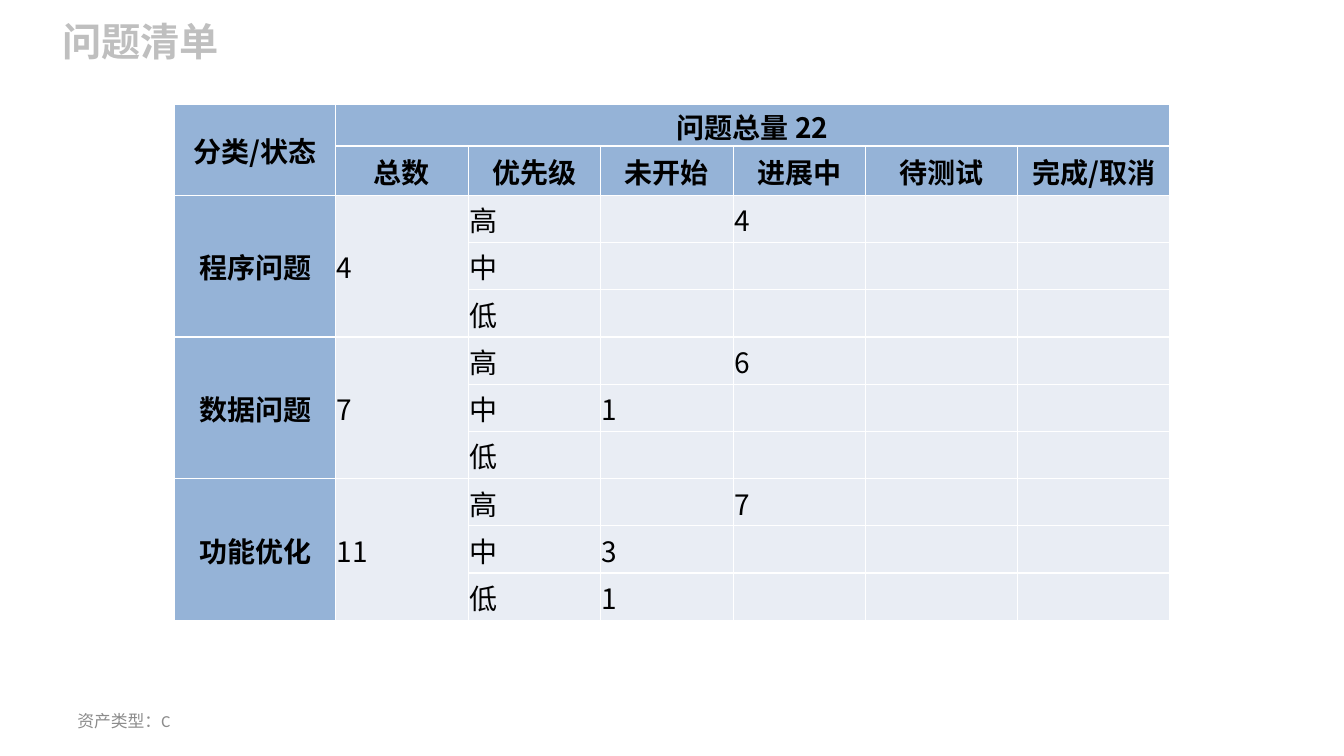
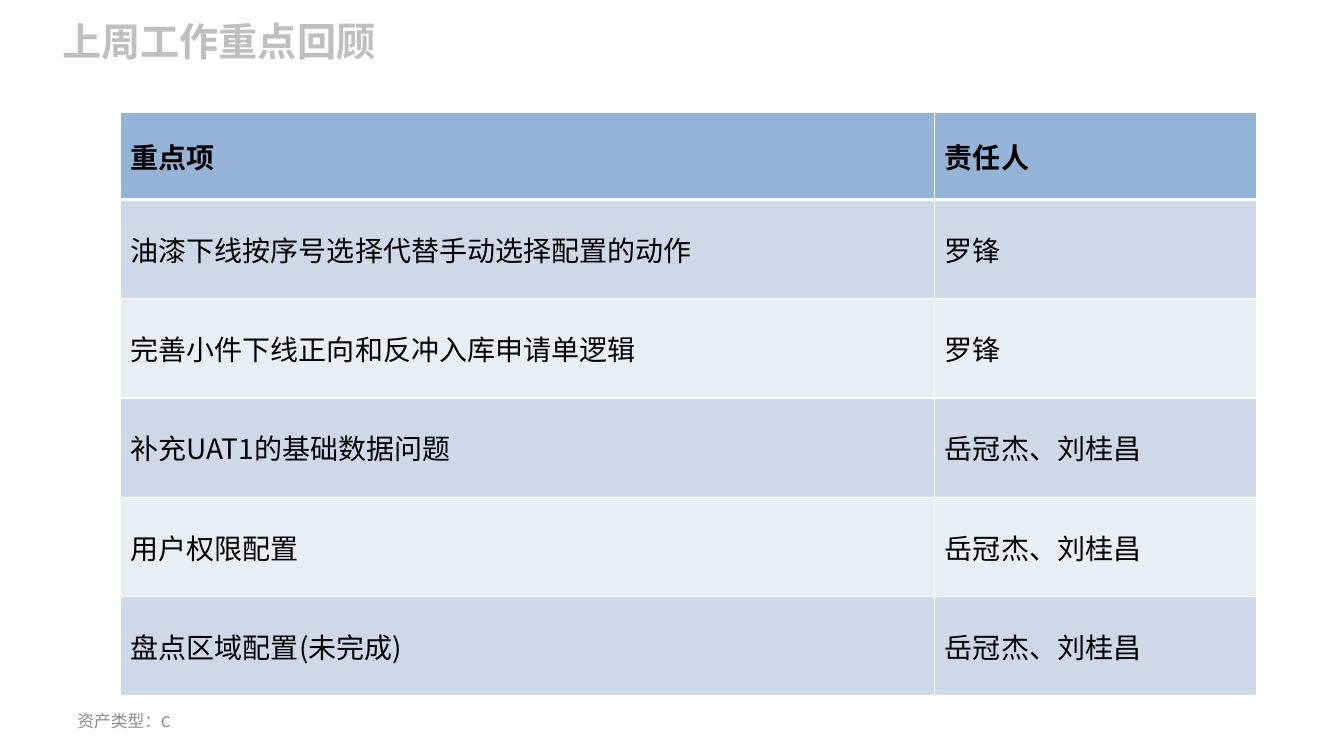
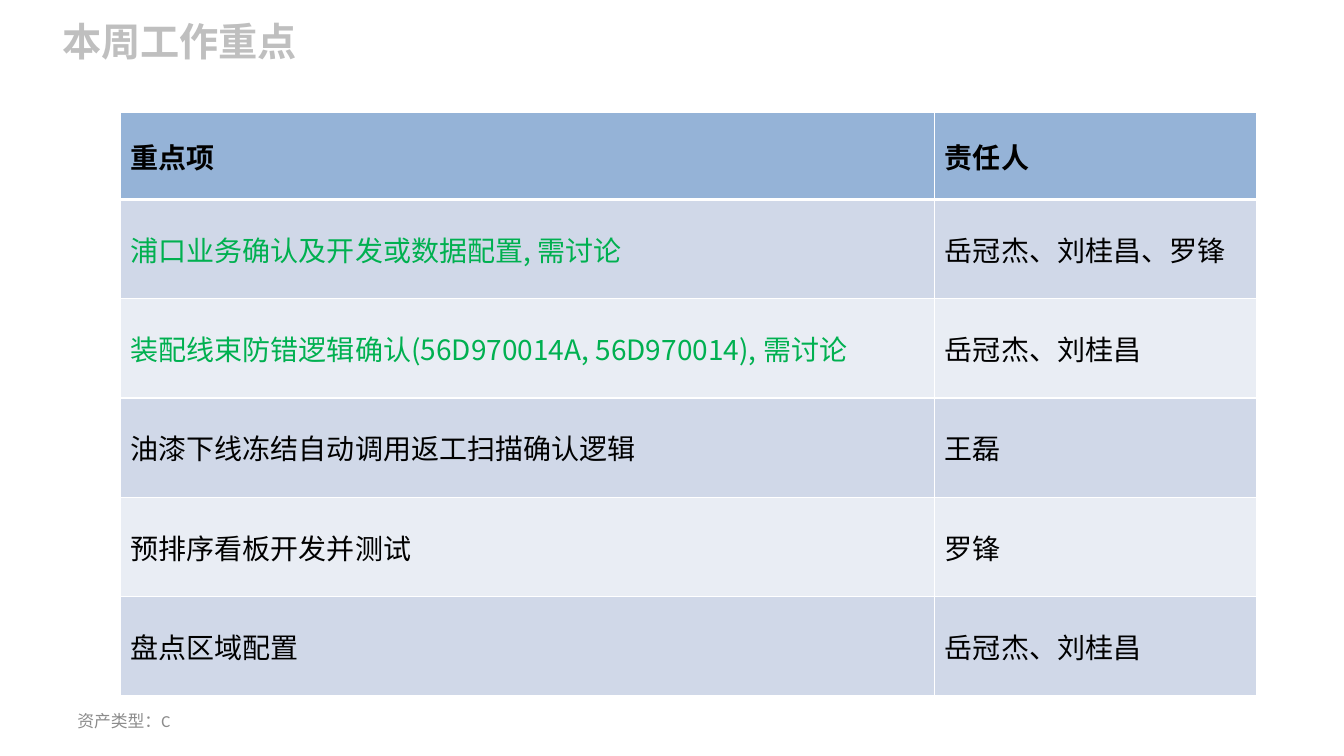
from lxml import etree
from pptx import Presentation
from pptx.dml.color import RGBColor
from pptx.enum.text import MSO_ANCHOR, MSO_AUTO_SIZE, PP_ALIGN
from pptx.oxml.ns import qn
from pptx.util import Cm, Pt

MIDDLE = MSO_ANCHOR.MIDDLE
TOP = MSO_ANCHOR.TOP
GROW = MSO_AUTO_SIZE.SHAPE_TO_FIT_TEXT
CENTER = PP_ALIGN.CENTER
LEFT = PP_ALIGN.LEFT

COLORS = {
    "title": "BFBFBF",
    "footer": "8C8C8C",
    "text": "000000",
    "discuss": "00B050",
    "header": "95B3D7",
    "dark_band": "D0D8E8",
    "light_band": "E9EDF4",
    "border": "FFFFFF",
}
CJK_FONT = "Noto Sans CJK SC"
TITLE_FORMAT = {"name": "Calibri", "size": Pt(28), "bold": True}
FOOTER_FORMAT = {"name": "Calibri", "size": Pt(12), "bold": False}
HEADER_FORMAT = {"name": CJK_FONT, "size": Pt(20), "bold": True}
BODY_FORMAT = {**HEADER_FORMAT, "bold": False}
TIGHT_MARGINS = {
    "margin_left": Cm(0.03),
    "margin_right": Cm(0.03),
    "margin_top": Cm(0.03),
    "margin_bottom": Cm(0),
}

FOOTER = "资产类型：C"
STATUS_HEADINGS = ["总数", "优先级", "未开始", "进展中", "待测试", "完成/取消"]
PRIORITIES = ["高", "中", "低"]
ISSUES = [
    ("程序问题", "4", [("", "4"), ("", ""), ("", "")]),
    ("数据问题", "7", [("", "6"), ("1", ""), ("", "")]),
    ("功能优化", "11", [("", "7"), ("3", ""), ("1", "")]),
]
LAST_WEEK = [
    ("油漆下线按序号选择代替手动选择配置的动作", "罗锋", "text"),
    ("完善小件下线正向和反冲入库申请单逻辑", "罗锋", "text"),
    ("补充UAT1的基础数据问题", "岳冠杰、刘桂昌", "text"),
    ("用户权限配置", "岳冠杰、刘桂昌", "text"),
    ("盘点区域配置(未完成)", "岳冠杰、刘桂昌", "text"),
]
THIS_WEEK = [
    ("浦口业务确认及开发或数据配置, 需讨论", "岳冠杰、刘桂昌、罗锋", "discuss"),
    ("装配线束防错逻辑确认(56D970014A, 56D970014), 需讨论", "岳冠杰、刘桂昌", "discuss"),
    ("油漆下线冻结自动调用返工扫描确认逻辑", "王磊", "text"),
    ("预排序看板开发并测试", "罗锋", "text"),
    ("盘点区域配置", "岳冠杰、刘桂昌", "text"),
]


def set_attributes(target, values):
    for name, value in values.items():
        setattr(target, name, value)


def write_text(frame, text, text_format, color, align=LEFT):
    para = frame.paragraphs[0]
    para.alignment = align
    span = para.add_run()
    span.text = text
    set_attributes(span.font, text_format)
    span.font.color.rgb = RGBColor.from_string(COLORS[color])
    latin = span.font._element.find(qn("a:latin"))
    east_asian = etree.Element(qn("a:ea"), typeface=CJK_FONT)
    latin.addnext(east_asian)


def add_text(page, bounds, text, text_format, color, frame_format):
    box = page.shapes.add_textbox(*map(Cm, bounds))
    frame = box.text_frame
    set_attributes(frame, {"word_wrap": True, **frame_format})
    write_text(frame, text, text_format, color)


def add_page(deck, title):
    page = deck.slides.add_slide(deck.slide_layouts[6])
    add_text(page, (1.32, 0.3, 25.35, 1.45), title, TITLE_FORMAT, "title",
             {"vertical_anchor": TOP, "auto_size": GROW})
    add_text(page, (1.7, 17.65, 7.9, 1.02), FOOTER, FOOTER_FORMAT, "footer",
             {"vertical_anchor": MIDDLE})
    return page


def add_grid(page, left, top, widths, heights):
    frame = page.shapes.add_table(len(heights), len(widths), Cm(left), Cm(top),
                                  Cm(sum(widths)), Cm(sum(heights)))
    table = frame.table
    set_attributes(table, {"first_row": False, "horz_banding": False})
    for column, width in zip(table.columns, widths):
        column.width = Cm(width)
    for row, height in zip(table.rows, heights):
        row.height = Cm(height)
    return table


def set_borders(cell, thick_side=None):
    properties = cell._tc.get_or_add_tcPr()
    for side in "LRTB":
        width = Pt(3 if side == thick_side else 1)
        line = etree.SubElement(properties, qn(f"a:ln{side}"), w=str(width))
        fill = etree.SubElement(line, qn("a:solidFill"))
        etree.SubElement(fill, qn("a:srgbClr"), val=COLORS["border"])


def fill_cell(cell, text, fill, text_format, color="text", align=LEFT,
              margins=None, thick_side=None):
    set_borders(cell, thick_side)
    cell.fill.solid()
    cell.fill.fore_color.rgb = RGBColor.from_string(COLORS[fill])
    set_attributes(cell, {"vertical_anchor": MIDDLE, **(margins or {})})
    if text:
        write_text(cell.text_frame, text, text_format, color, align)


def issue_rows():
    rows = [["分类/状态", "问题总量 22"] + [""] * 5, [""] + STATUS_HEADINGS]
    for category, total, counts in ISSUES:
        for index, (priority, count) in enumerate(zip(PRIORITIES, counts)):
            labels = ["", ""] if index else [category, total]
            rows.append([*labels, priority, *count, "", ""])
    return rows


def add_issue_table(page):
    rows = issue_rows()
    table = add_grid(page, 4.4, 2.64, [4.06] + [3.34] * 4 + [3.83] * 2,
                     [1.04, 1.24] + [1.19] * (len(rows) - 2))
    for row, texts in enumerate(rows):
        for column, text in enumerate(texts):
            heading = row < 2 or column == 0
            fill_cell(table.cell(row, column), text,
                      "header" if heading else "light_band",
                      HEADER_FORMAT if heading else BODY_FORMAT,
                      align=CENTER if heading else LEFT,
                      margins=TIGHT_MARGINS)
    table.cell(0, 0).merge(table.cell(1, 0))
    table.cell(0, 1).merge(table.cell(0, 6))
    for first in range(2, len(rows), len(PRIORITIES)):
        for column in (0, 1):
            last = first + len(PRIORITIES) - 1
            table.cell(first, column).merge(table.cell(last, column))


def add_task_table(page, tasks):
    table = add_grid(page, 3.04, 2.82, [20.52, 8.1], [2.21] + [2.5] * len(tasks))
    for column, heading in enumerate(["重点项", "责任人"]):
        fill_cell(table.cell(0, column), heading, "header", HEADER_FORMAT,
                  thick_side="B")
    for row, (task, owner, color) in enumerate(tasks, 1):
        band = "dark_band" if row % 2 else "light_band"
        side = "T" if row == 1 else None
        fill_cell(table.cell(row, 0), task, band, BODY_FORMAT, color, thick_side=side)
        fill_cell(table.cell(row, 1), owner, band, BODY_FORMAT, thick_side=side)


def main():
    deck = Presentation()
    set_attributes(deck, {"slide_width": Cm(33.87), "slide_height": Cm(19.05)})
    add_issue_table(add_page(deck, "问题清单"))
    add_task_table(add_page(deck, "上周工作重点回顾"), LAST_WEEK)
    add_task_table(add_page(deck, "本周工作重点"), THIS_WEEK)
    deck.save("out.pptx")


if __name__ == "__main__":
    main()
